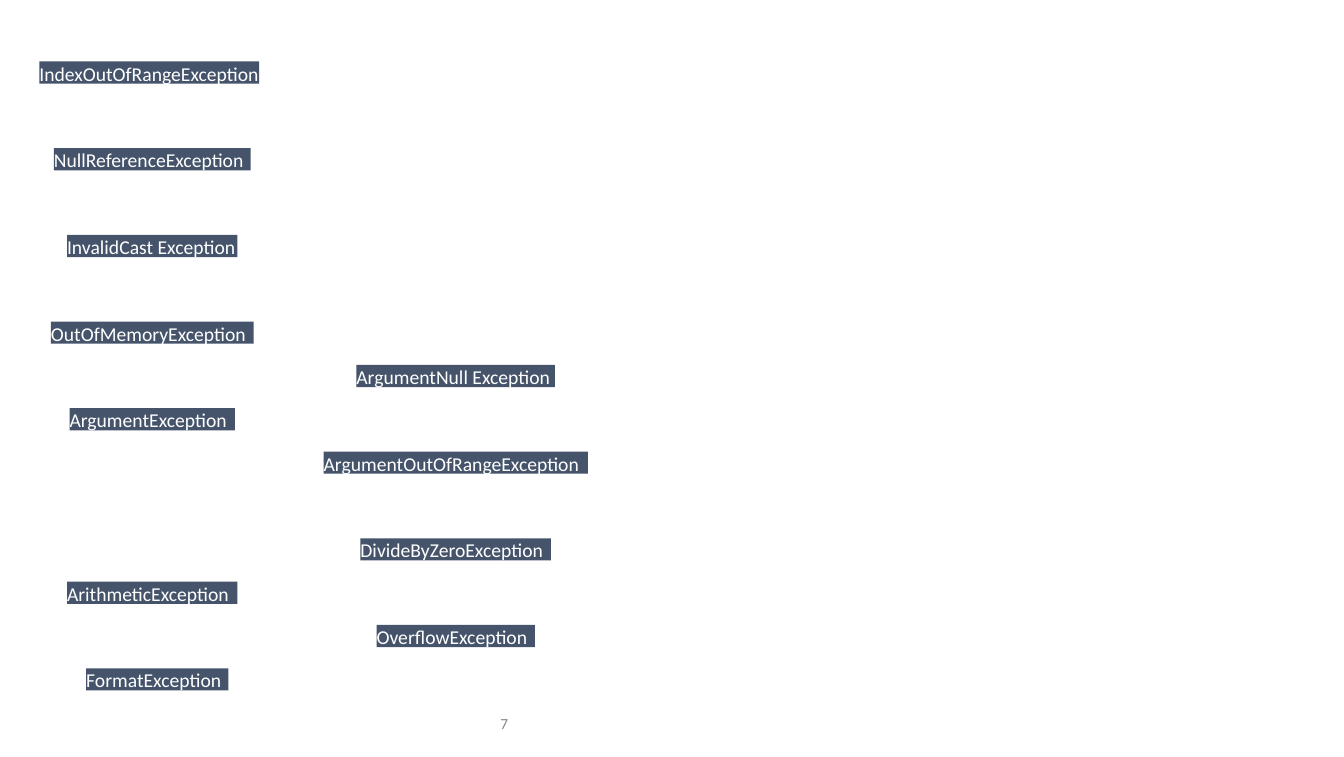
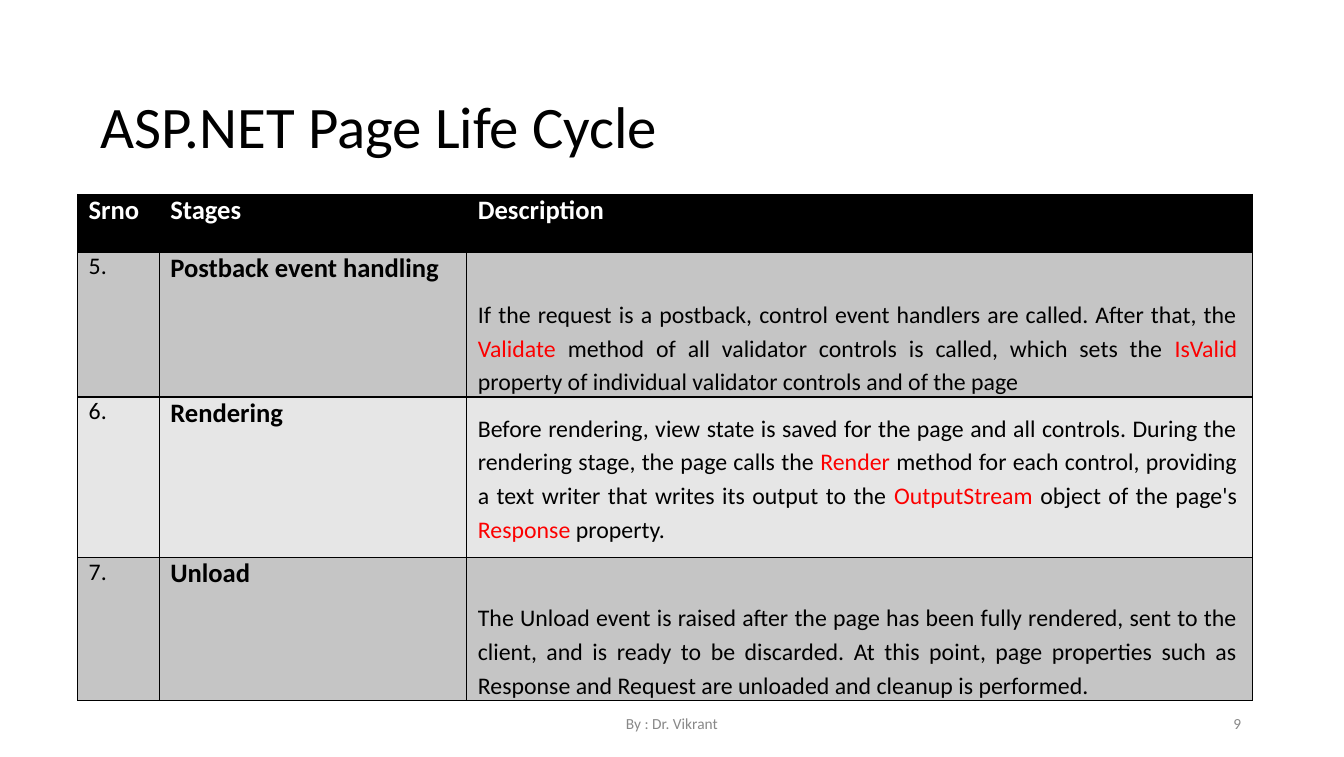
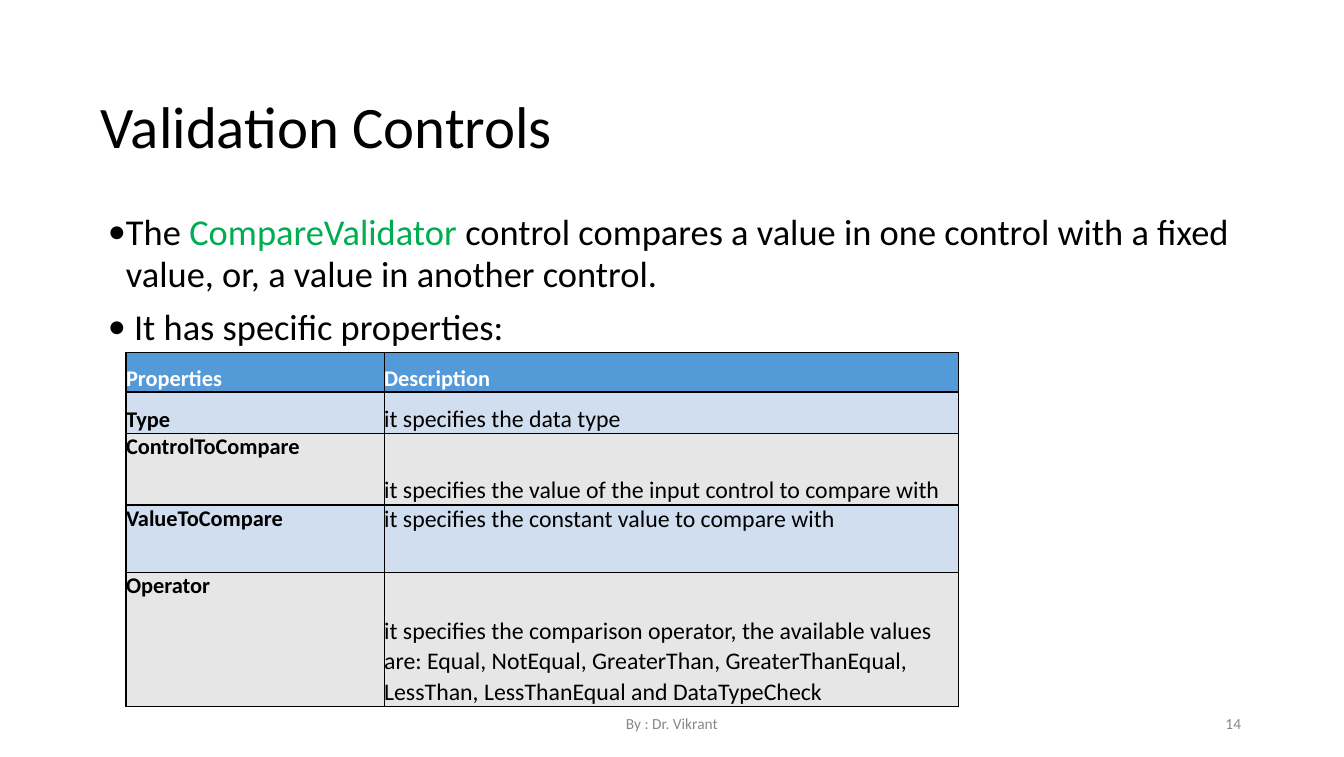
from lxml.etree import SubElement
from pptx import Presentation
from pptx.dml.color import RGBColor
from pptx.enum.shapes import MSO_SHAPE
from pptx.enum.text import MSO_ANCHOR, PP_ALIGN
from pptx.oxml.ns import qn
from pptx.util import Inches, Pt

COLORS = {
    "ink": "000000", "paper": "FFFFFF", "footer": "888888", "label": "45546B",
    "red": "FC0000", "green": "00AD50", "blue": "549AD9", "pale blue": "D1DEEF",
    "grey": "C5C5C5", "pale grey": "E6E6E6",
}
FONT = "Calibri"
WIDTH, HEIGHT = 13.33, 7.51
FOOTER_TOP, FOOTER_HEIGHT = 7.08, 0.18
TOP, MIDDLE, BOTTOM = MSO_ANCHOR.TOP, MSO_ANCHOR.MIDDLE, MSO_ANCHOR.BOTTOM


def write(paragraph, text, size, color="ink", bold=False, accent="red", align=PP_ALIGN.LEFT):
    """Fill a paragraph; the parts of text between | marks take the accent colour."""
    paragraph.alignment = align
    paragraph.font.name = FONT
    paragraph.font.size = Pt(size)
    paragraph.font.bold = bold
    paragraph.font.color.rgb = RGBColor.from_string(COLORS[color])
    for index, part in enumerate(text.split("|")):
        run = paragraph.add_run()
        run.text = part
        if index % 2:
            run.font.color.rgb = RGBColor.from_string(COLORS[accent])


def add_frame(slide, left, top, width, height, wrap=True):
    """Add a text box without margins and return its text frame."""
    frame = slide.shapes.add_textbox(
        Inches(left), Inches(top), Inches(width), Inches(height)).text_frame
    frame.margin_left = frame.margin_right = frame.margin_top = frame.margin_bottom = 0
    frame.word_wrap = wrap
    return frame


prs = Presentation()
prs.slide_width, prs.slide_height = Inches(WIDTH), Inches(HEIGHT)
blank = prs.slide_layouts[6]

# Exception classes: two columns of labels on a grid of half rows
FIRST_ROW, HALF_ROW, LABEL_HEIGHT = 0.61, 0.43, 0.22
BASE_CENTER, DERIVED_CENTER = 1.51, 4.52
exceptions = [
    ("IndexOutOfRangeException", BASE_CENTER - 0.03, 0, 2.18),
    ("NullReferenceException", BASE_CENTER, 2, 1.95),
    ("InvalidCast Exception", BASE_CENTER, 4, 1.69),
    ("OutOfMemoryException", BASE_CENTER, 6, 2.01),
    ("ArgumentException", BASE_CENTER, 8, 1.64),
    ("ArgumentNull Exception", DERIVED_CENTER, 7, 1.97),
    ("ArgumentOutOfRangeException", DERIVED_CENTER, 9, 2.62),
    ("ArithmeticException", BASE_CENTER, 12, 1.69),
    ("DivideByZeroException", DERIVED_CENTER, 11, 1.89),
    ("OverflowException", DERIVED_CENTER, 13, 1.57),
    ("FormatException", BASE_CENTER + 0.05, 14, 1.41),
]
exception_slide = prs.slides.add_slide(blank)
for name, center, row, width in exceptions:
    label = exception_slide.shapes.add_shape(
        MSO_SHAPE.RECTANGLE, Inches(center - width / 2), Inches(FIRST_ROW + row * HALF_ROW),
        Inches(width), Inches(LABEL_HEIGHT))
    label.shadow.inherit = False
    label.fill.solid()
    label.fill.fore_color.rgb = RGBColor.from_string(COLORS["label"])
    label.line.fill.background()
    frame = label.text_frame
    frame.margin_left = frame.margin_right = frame.margin_top = frame.margin_bottom = 0
    frame.word_wrap = False
    frame.vertical_anchor = TOP
    write(frame.paragraphs[0], name, 14, "paper")

# Table rows: height, fill, texts, anchors, line spacing of the description
life_cycle = {
    "title": "ASP.NET Page Life Cycle", "bullets": [],
    "at": (0.77, 1.93), "columns": [0.81, 3.05, 7.79], "margins": (0.11, 0.15),
    "header size": 19, "sizes": [17, 19, 17], "bold column": 1,
    "description align": PP_ALIGN.JUSTIFY,
    "rows": [
        (0.57, "ink", ["Srno", "Stages", "Description"], [TOP, TOP, TOP], None),
        (1.44, "grey", [
            "5.", "Postback event handling",
            "If the request is a postback, control event handlers are called. After that, the "
            "|Validate |method of all validator controls is called, which sets the "
            "|IsValid |property of individual validator controls and of the page",
        ], [TOP, TOP, BOTTOM], 24),
        (1.59, "pale grey", [
            "6.", "Rendering",
            "Before rendering, view state is saved for the page and all controls. During the "
            "rendering stage, the page calls the |Render |method for each control, providing "
            "a text writer that writes its output to the |OutputStream |object of the page's "
            "|Response |property.",
        ], [TOP, TOP, MIDDLE], 24),
        (1.42, "grey", [
            "7.", "Unload",
            "The Unload event is raised after the page has been fully rendered, sent to the "
            "client, and is ready to be discarded. At this point, page properties such as "
            "Response and Request are unloaded and cleanup is performed.",
        ], [TOP, TOP, BOTTOM], 24),
    ],
}
validation = {
    "title": "Validation Controls",
    # text, hanging indent, line spacing, space after
    "bullets": [
        ("The |CompareValidator |control compares a value in one control with a fixed "
         "value, or, a value in another control.", 0.18, Pt(30.2), Pt(6.3)),
        ("It has specific properties:", 0.26, None, None),
    ],
    "at": (1.25, 3.5), "columns": [2.56, 5.7], "margins": (0, 0),
    "header size": 16, "sizes": [16, 17], "bold column": 0,
    "description align": PP_ALIGN.LEFT,
    "rows": [
        (0.39, "blue", ["Properties", "Description"], [BOTTOM, BOTTOM], None),
        (0.41, "pale blue", ["Type", "it specifies the data type"], [BOTTOM, BOTTOM], None),
        (0.71, "pale grey", [
            "ControlToCompare", "it specifies the value of the input control to compare with",
        ], [TOP, BOTTOM], 21.4),
        (0.67, "pale blue", [
            "ValueToCompare", "it specifies the constant value to compare with",
        ], [TOP, TOP], None),
        (1.33, "pale grey", [
            "Operator",
            "it specifies the comparison operator, the available values are: Equal, NotEqual, "
            "GreaterThan, GreaterThanEqual, LessThan, LessThanEqual and DataTypeCheck",
        ], [TOP, BOTTOM], 21.6),
    ],
}

for topic in (life_cycle, validation):
    slide = prs.slides.add_slide(blank)
    title = add_frame(slide, 1, 0.89, WIDTH - 2, 0.57, wrap=False)
    write(title.paragraphs[0], topic["title"], 42)

    if topic["bullets"]:
        body = add_frame(slide, 1.07, 2.09, 11.17, 1.35)
        for index, (text, hang, spacing, after) in enumerate(topic["bullets"]):
            paragraph = body.add_paragraph() if index else body.paragraphs[0]
            properties = paragraph._p.get_or_add_pPr()
            properties.set("marL", str(Inches(hang)))
            properties.set("indent", str(-Inches(hang)))
            paragraph.line_spacing = spacing
            paragraph.space_after = after
            SubElement(properties, qn("a:buFont")).set("typeface", FONT)
            SubElement(properties, qn("a:buChar")).set("char", "•")
            write(paragraph, text, 26, accent="green")

    columns, rows = topic["columns"], topic["rows"]
    left, top = topic["at"]
    table = slide.shapes.add_table(
        len(rows), len(columns), Inches(left), Inches(top), Inches(sum(columns)),
        Inches(sum(row[0] for row in rows))).table
    table.horz_banding = False
    for column, width in zip(table.columns, columns):
        column.width = Inches(width)
    for r, (height, fill, texts, anchors, spacing) in enumerate(rows):
        table.rows[r].height = Inches(height)
        for c, text in enumerate(texts):
            cell = table.cell(r, c)
            cell.margin_left, cell.margin_right = map(Inches, topic["margins"])
            cell.margin_top = cell.margin_bottom = 0
            cell.vertical_anchor = anchors[c]
            for side in ("a:lnL", "a:lnR", "a:lnT", "a:lnB"):
                border = SubElement(cell._tc.get_or_add_tcPr(), qn(side), w=str(Pt(1)))
                solid = SubElement(border, qn("a:solidFill"))
                SubElement(solid, qn("a:srgbClr"), val=COLORS["ink"])
            cell.fill.solid()
            cell.fill.fore_color.rgb = RGBColor.from_string(COLORS[fill])
            is_header, is_description = r == 0, c == len(columns) - 1
            paragraph = cell.text_frame.paragraphs[0]
            if is_description and spacing:
                paragraph.line_spacing = Pt(spacing)
            write(paragraph, text,
                  topic["header size"] if is_header else topic["sizes"][c],
                  "paper" if is_header else "ink",
                  bold=is_header or c == topic["bold column"],
                  align=topic["description align"] if is_description else PP_ALIGN.LEFT)

    author = add_frame(slide, WIDTH / 2 - 0.75, FOOTER_TOP, 1.5, FOOTER_HEIGHT)
    write(author.paragraphs[0], "By : Dr. Vikrant", 11, "footer", align=PP_ALIGN.CENTER)

# Slide numbers: number and right edge
for slide, (number, right) in zip(prs.slides, [("7", 5.04), ("9", 12.31), ("14", 12.31)]):
    page = add_frame(slide, right - 0.4, FOOTER_TOP, 0.4, FOOTER_HEIGHT)
    write(page.paragraphs[0], number, 11, "footer", align=PP_ALIGN.RIGHT)

prs.save("out.pptx")
